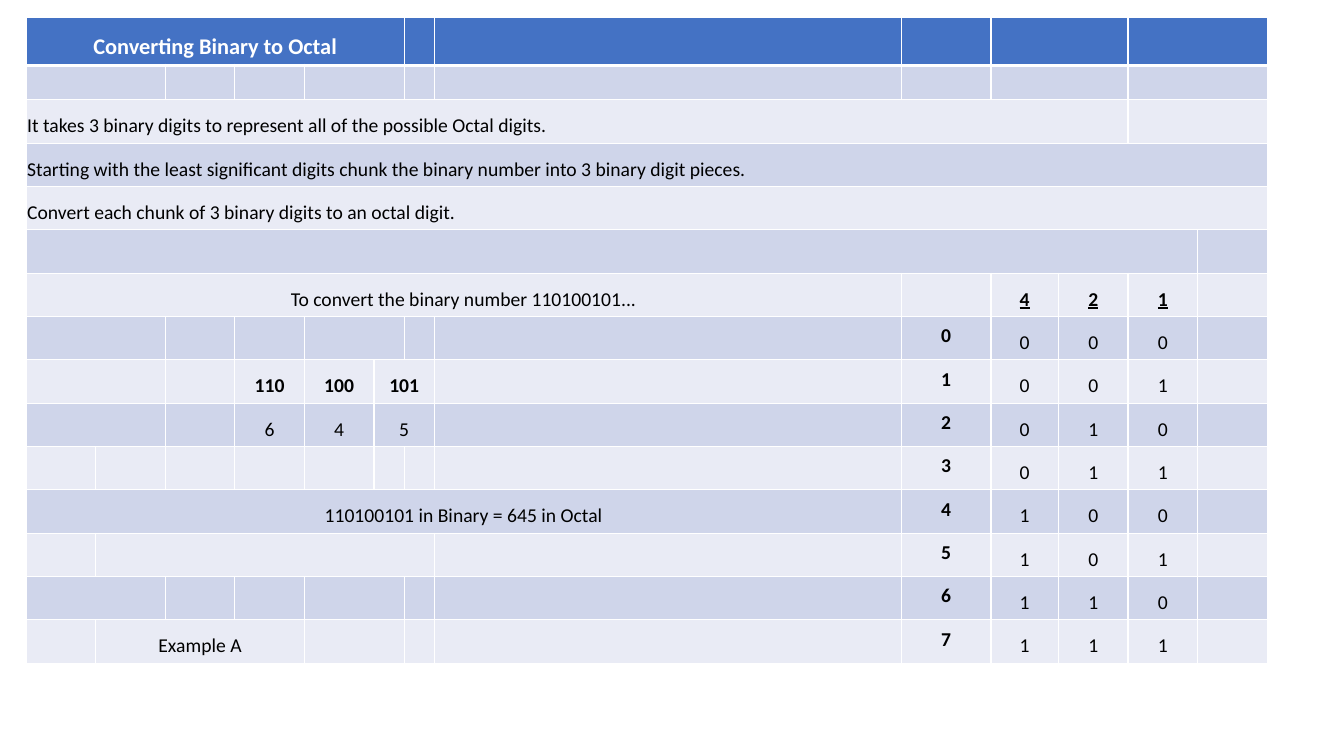
from dataclasses import dataclass

import lxml.etree
import pptx
import pptx.dml.color
import pptx.enum.text
import pptx.oxml.ns
import pptx.util

Inches = pptx.util.Inches
Pt = pptx.util.Pt
ALIGN = pptx.enum.text.PP_ALIGN
ANCHOR = pptx.enum.text.MSO_ANCHOR
qn = pptx.oxml.ns.qn

COLORS = {"head": "4472C4", "dark": "CFD5EA", "light": "E9EBF5",
          "white": "FFFFFF", "black": "000000"}
FONT = "Calibri"
WIDTHS = [0.69] * 5 + [0.3] * 2 + [4.63, 0.89, 0.67] + [0.69] * 3
HEIGHTS = [0.48, 0.34] + [0.43] * 13
LABEL = 8  # column of the octal digits; their bits follow it
FIRST = 7  # row of octal digit 0


@dataclass
class Entry:
    """Text of one cell and its format."""
    row: int
    col: int
    text: str
    bold: bool = False
    under: bool = False
    left: bool = False
    middle: bool = False
    size: int = 14
    color: str = "black"


# Merged cells of each row, as (first column, last column)
PAIRS = [(0, 1), (4, 5)]
TAIL = [(9, 10), (11, 12)]
SPANS = {
    0: [(0, 5)] + TAIL,
    1: PAIRS + TAIL,
    2: [(0, 10), (11, 12)],
    3: [(0, 12)],
    4: [(0, 12)],
    5: [(0, 11)],
    6: [(0, 7)],
    7: PAIRS,
    8: [(0, 1), (5, 6)],
    9: [(0, 1), (5, 6)],
    11: [(0, 7)],
    12: [(1, 6)],
    13: PAIRS,
    14: [(1, 3), (4, 5)],
}

RULES = [
    "It takes 3 binary digits to represent all of the possible Octal digits.",
    "Starting with the least significant digits chunk the binary number "
    "into 3 binary digit pieces.\u00a0",
    "Convert each chunk of 3 binary digits to an octal digit.",
]


def list_text() -> list[Entry]:
    """Collect the text of the whole table."""
    items = [
        Entry(0, 0, "Converting Binary to Octal", bold=True, size=16, color="white"),
        Entry(6, 0, "To convert the binary number 110100101..."),
        Entry(11, 0, "110100101 in Binary = 645 in Octal"),
        Entry(14, 1, "Example A"),
    ]
    items += [Entry(row, 0, rule, left=True) for row, rule in enumerate(RULES, 2)]
    for col, chunk in enumerate(["110", "100", "101"], 3):
        items.append(Entry(8, col, chunk, bold=True))
        items.append(Entry(9, col, str(int(chunk, 2))))
    for col, weight in enumerate("421", LABEL + 1):
        items.append(Entry(6, col, weight, bold=True, under=True))
    for digit in range(8):
        row = FIRST + digit
        items.append(Entry(row, LABEL, str(digit), bold=True, middle=True))
        for col, bit in enumerate(format(digit, "03b"), LABEL + 1):
            items.append(Entry(row, col, bit))
    return items


def paint(name: str) -> pptx.dml.color.RGBColor:
    """Look up a colour by name."""
    return pptx.dml.color.RGBColor.from_string(COLORS[name])


def write(cell, text: str, *, size: int = 14, color: str = "black",
          bold: bool = False, under: bool = False, align=ALIGN.CENTER,
          anchor=ANCHOR.BOTTOM) -> None:
    """Put formatted text into a cell."""
    cell.vertical_anchor = anchor
    para = cell.text_frame.paragraphs[0]
    para.alignment = align
    run = para.add_run()
    run.text = text
    font = run.font
    font.name, font.size = FONT, Pt(size)
    font.bold, font.underline = bold, under
    font.color.rgb = paint(color)


def edge(cell, side: str, width: float) -> None:
    """Draw one white border of a cell."""
    props = cell._tc.get_or_add_tcPr()
    line = lxml.etree.SubElement(props, qn(f"a:ln{side}"), w=str(Pt(width)))
    fill = lxml.etree.SubElement(line, qn("a:solidFill"))
    lxml.etree.SubElement(fill, qn("a:srgbClr"), val=COLORS["white"])


def style(cell, row: int) -> None:
    """Set margins, borders, fill and empty-line size of a cell."""
    cell.margin_left = cell.margin_right = cell.margin_top = Inches(0.01)
    cell.margin_bottom = Inches(0.05)
    for side in "LRTB":
        thick = (row, side) in [(0, "B"), (1, "T")]
        edge(cell, side, 3 if thick else 1)
    cell.fill.solid()
    band = "dark" if row % 2 else "light"
    cell.fill.fore_color.rgb = paint(band if row else "head")
    para = cell.text_frame.paragraphs[0]._p
    if not cell.text:
        lxml.etree.SubElement(para, qn("a:endParaRPr"), sz="1400")


def build() -> None:
    """Make the slide and save it."""
    deck = pptx.Presentation()
    deck.slide_width, deck.slide_height = Inches(13.33), Inches(7.5)
    slide = deck.slides.add_slide(deck.slide_layouts[6])
    frame = slide.shapes.add_table(
        len(HEIGHTS), len(WIDTHS), Inches(0.26), Inches(0.17),
        Inches(sum(WIDTHS)), Inches(sum(HEIGHTS)))
    table = frame.table
    table.first_row = table.horz_banding = False
    for col, width in zip(table.columns, WIDTHS):
        col.width = Inches(width)
    for row, height in zip(table.rows, HEIGHTS):
        row.height = Inches(height)

    for item in list_text():
        write(table.cell(item.row, item.col), item.text, size=item.size,
              color=item.color, bold=item.bold, under=item.under,
              align=ALIGN.LEFT if item.left else ALIGN.CENTER,
              anchor=ANCHOR.MIDDLE if item.middle else ANCHOR.BOTTOM)
    for row in range(len(HEIGHTS)):
        for col in range(len(WIDTHS)):
            style(table.cell(row, col), row)
        for first, last in SPANS.get(row, []):
            table.cell(row, first).merge(table.cell(row, last))
    deck.save("out.pptx")


build()
